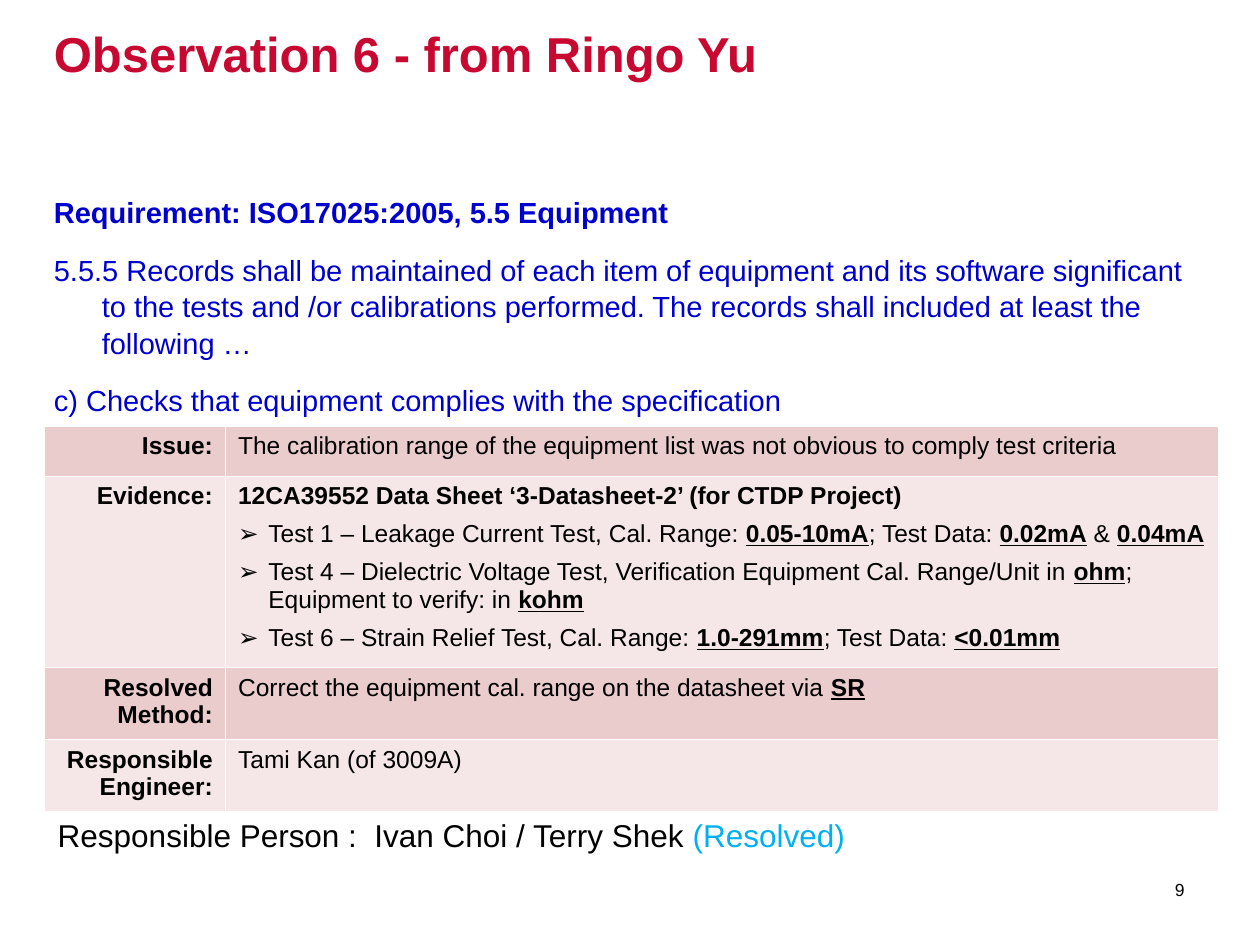
from dataclasses import dataclass

from lxml import etree
from pptx import Presentation
from pptx.dml.color import RGBColor
from pptx.enum.text import MSO_ANCHOR, PP_ALIGN
from pptx.oxml.ns import qn
from pptx.util import Inches, Pt

LEFT, RIGHT = PP_ALIGN.LEFT, PP_ALIGN.RIGHT
TOP, MIDDLE = MSO_ANCHOR.TOP, MSO_ANCHOR.MIDDLE


@dataclass(frozen=True)
class Theme:
    font: str = "Arial"
    red: str = "C70932"
    blue: str = "0000CC"
    cyan: str = "00B0F0"
    black: str = "000000"
    border: str = "FFFFFF"
    bands: tuple = ("EBCCCD", "F5E7E8")
    title: float = 28
    requirement: float = 16.6
    table: float = 14
    person: float = 18
    number: float = 10
    border_width: float = 0.45


THEME = Theme()


@dataclass(frozen=True)
class Run:
    text: str
    bold: bool = False
    underline: bool = False
    color: str = THEME.black


@dataclass(frozen=True)
class Para:
    runs: tuple
    align: int = LEFT
    after: float = 0
    spacing: float = 1.0
    margin: float = 0
    hanging: float = 0
    bullet: str = ""


@dataclass(frozen=True)
class Block:
    left: float
    top: float
    width: float
    height: float
    size: float
    paras: tuple
    anchor: int = TOP
    wrap: bool = True


def key(text: str) -> Run:
    return Run(text, bold=True, underline=True)


def requirement(text: str, bold: bool = False) -> Para:
    return Para((Run(text, bold, color=THEME.blue),), after=12, spacing=1.05,
                margin=0.38, hanging=0.38)


def test_item(*runs: Run) -> Para:
    return Para(runs, after=6, margin=0.24, hanging=0.24, bullet="➢")


def write_paras(frame, paras: tuple, size: float) -> None:
    for index, para in enumerate(paras):
        paragraph = frame.add_paragraph() if index else frame.paragraphs[0]
        formats = {"alignment": para.align, "space_after": Pt(para.after),
                   "space_before": Pt(0), "line_spacing": para.spacing}
        for name, value in formats.items():
            setattr(paragraph, name, value)
        props = paragraph._p.get_or_add_pPr()
        props.set("marL", str(Inches(para.margin)))
        props.set("indent", str(-Inches(para.hanging)))
        if para.bullet:
            color = etree.SubElement(etree.SubElement(props, qn("a:buClr")), qn("a:srgbClr"))
            color.set("val", THEME.black)
            etree.SubElement(props, qn("a:buFont")).set("typeface", THEME.font)
            etree.SubElement(props, qn("a:buChar")).set("char", para.bullet)
        for part in para.runs:
            run = paragraph.add_run()
            run.text = part.text
            font_values = {"name": THEME.font, "size": Pt(size), "bold": part.bold,
                           "underline": part.underline}
            for name, value in font_values.items():
                setattr(run.font, name, value)
            run.font.color.rgb = RGBColor.from_string(part.color)


def draw_block(slide, block: Block) -> None:
    frame = slide.shapes.add_textbox(Inches(block.left), Inches(block.top),
                                     Inches(block.width), Inches(block.height)).text_frame
    frame.word_wrap = block.wrap
    frame.vertical_anchor = block.anchor
    write_paras(frame, block.paras, block.size)


def draw_borders(cell) -> None:
    props = cell._tc.get_or_add_tcPr()
    for side in ("L", "R", "T", "B"):
        line = etree.SubElement(props, qn(f"a:ln{side}"))
        line.set("w", str(Pt(THEME.border_width)))
        fill = etree.SubElement(line, qn("a:solidFill"))
        etree.SubElement(fill, qn("a:srgbClr")).set("val", THEME.border)


def draw_findings(slide, rows: tuple, widths: tuple, heights: tuple) -> None:
    findings = slide.shapes.add_table(len(rows), len(widths), Inches(0.35), Inches(3.38),
                                      Inches(sum(widths)), Inches(sum(heights))).table
    findings.first_row = False
    findings.horz_banding = False
    for column, width in zip(findings.columns, widths):
        column.width = Inches(width)
    for index, ((label, details), height) in enumerate(zip(rows, heights)):
        findings.rows[index].height = Inches(height)
        heading = (Para((Run(label, bold=True),), align=RIGHT),)
        for column, paras in enumerate((heading, details)):
            cell = findings.cell(index, column)
            draw_borders(cell)
            cell.fill.solid()
            cell.fill.fore_color.rgb = RGBColor.from_string(THEME.bands[index % 2])
            write_paras(cell.text_frame, paras, THEME.table)


BLOCKS = (
    Block(0.33, 0.14, 9, 1.25, THEME.title,
          (Para((Run("Observation 6 - from Ringo Yu", bold=True, color=THEME.red),)),)),
    Block(0.33, 1.48, 9.33, 1.89, THEME.requirement, (
        requirement("Requirement: ISO17025:2005, 5.5 Equipment", bold=True),
        requirement("5.5.5 Records shall be maintained of each item of equipment and its "
                    "software significant to the tests and /or calibrations performed. "
                    "The records shall included at least the following …"),
        requirement("c) Checks that equipment complies with the specification"),
    )),
    Block(0.36, 6.43, 6.48, 0.4, THEME.person,
          (Para((Run("Responsible Person :  Ivan Choi / Terry Shek "),
                 Run("(Resolved)", color=THEME.cyan))),), wrap=False),
    Block(8.8, 6.86, 0.7, 0.4, THEME.number, (Para((Run("9"),), align=RIGHT),), anchor=MIDDLE),
)

FINDINGS = (
    ("Issue:", (Para((Run("The calibration range of the equipment list was not obvious "
                          "to comply test criteria"),)),)),
    ("Evidence:", (
        Para((Run("12CA39552 Data Sheet ‘3-Datasheet-2’ (for CTDP Project)", bold=True),), after=6),
        test_item(Run("Test 1 – Leakage Current Test, Cal. Range: "), key("0.05-10mA"),
                  Run("; Test Data: "), key("0.02mA"), Run(" & "), key("0.04mA")),
        test_item(Run("Test 4 – Dielectric Voltage Test, Verification Equipment Cal. "
                      "Range/Unit in "), key("ohm"), Run("; Equipment to verify: in "),
                  key("kohm")),
        test_item(Run("Test 6 – Strain Relief Test, Cal. Range: "), key("1.0-291mm"),
                  Run("; Test Data: "), key("<0.01mm")),
    )),
    ("Resolved Method:", (Para((Run("Correct the equipment cal. range on the datasheet via "),
                                key("SR"))),)),
    ("Responsible Engineer:", (Para((Run("Tami Kan (of 3009A)"),)),)),
)


def main() -> None:
    deck = Presentation()
    deck.slide_width, deck.slide_height = Inches(10), Inches(7.5)
    slide = deck.slides.add_slide(deck.slide_layouts[6])
    draw_findings(slide, FINDINGS, widths=(1.44, 7.88), heights=(0.4, 1.52, 0.57, 0.57))
    for block in BLOCKS:
        draw_block(slide, block)
    deck.save("out.pptx")


if __name__ == "__main__":
    main()
